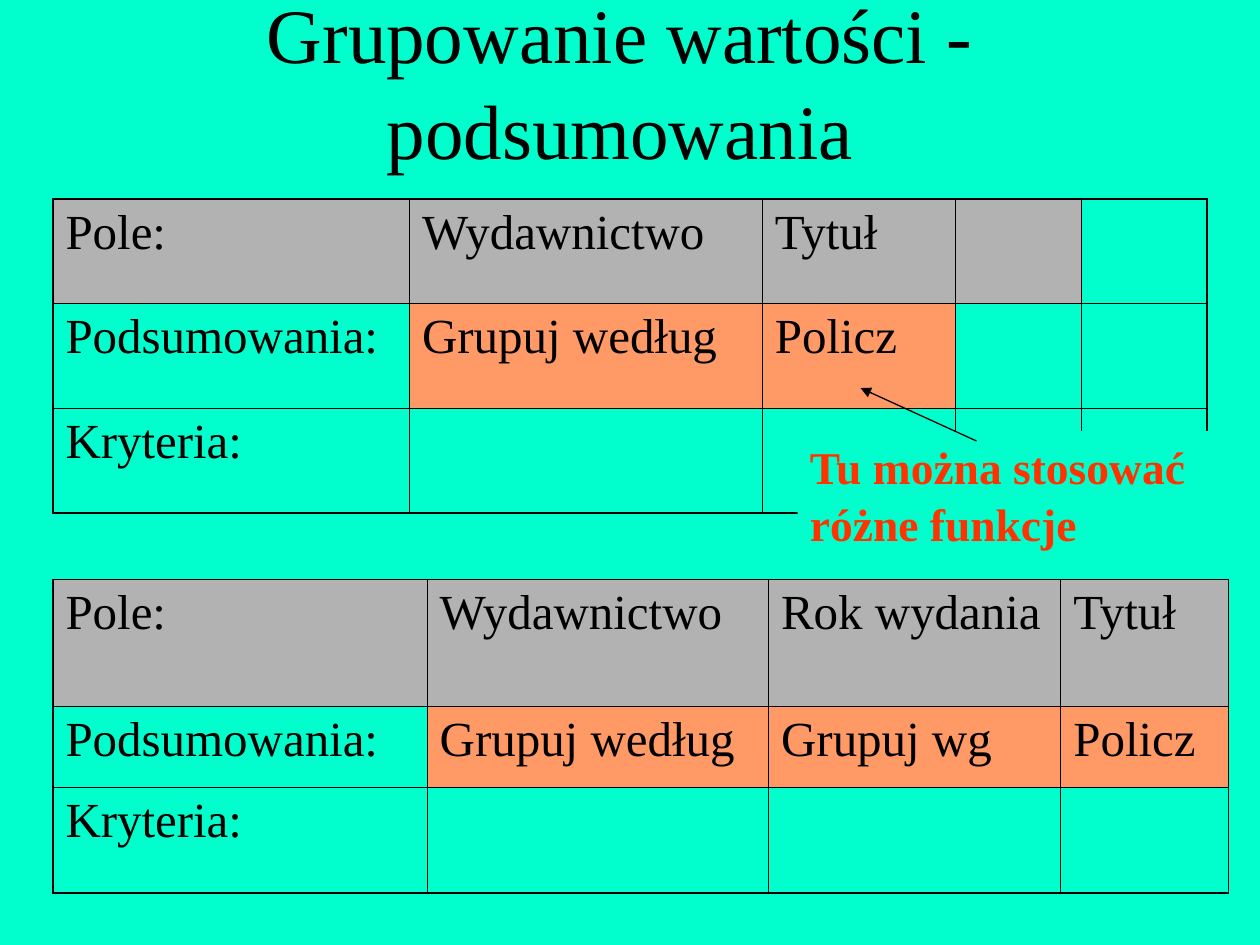
from dataclasses import dataclass

from pptx import Presentation, util as u
from pptx.dml.color import RGBColor
from pptx.enum import shapes, text
from pptx.oxml.ns import qn
from lxml import etree


@dataclass(frozen=True)
class Theme:
    font: str = "Times New Roman"
    paper: str = "00FFCC"
    ink: str = "000000"
    header: str = "B2B2B2"
    total: str = "FF9966"
    accent: str = "FF3300"
    title_size: float = 44
    cell_size: float = 28
    note_size: float = 26
    inner: float = 0.45
    outer: float = 1.08
    arrow: float = 0.75
    leading: float = 1.04


class SlideBuilder:
    """Draws the elements of one slide in a shared style."""

    def __init__(self, prs, theme):
        self.t = theme
        self.s = prs.slides.add_slide(prs.slide_layouts[6])
        self.paint(self.s.background.fill, theme.paper)

    def paint(self, fill, color):
        fill.solid()
        fill.fore_color.rgb = RGBColor.from_string(color)

    def label(self, tf, words, size, color, bold=False):
        tf.text = words
        tf.word_wrap = True
        p = tf.paragraphs[0]
        for r in p.runs:
            r.font.name = self.t.font
            r.font.size = u.Pt(size)
            r.font.bold = bold
            r.font.color.rgb = RGBColor.from_string(color)
        return p

    def title(self, words, box):
        tf = self.s.shapes.add_textbox(*map(u.Inches, box)).text_frame
        tf.vertical_anchor = text.MSO_ANCHOR.MIDDLE
        p = self.label(tf, words, self.t.title_size, self.t.ink)
        p.alignment = text.PP_ALIGN.CENTER
        p.line_spacing = self.t.leading

    def border(self, cell, side, width):
        tc_pr = cell._tc.get_or_add_tcPr()
        ln = etree.SubElement(tc_pr, qn(f"a:ln{side}"), w=str(u.Pt(width)))
        fill = etree.SubElement(ln, qn("a:solidFill"))
        etree.SubElement(fill, qn("a:srgbClr"), val=self.t.ink)

    def table(self, left, top, widths, heights, rows, header_cells):
        box = map(u.Inches, (left, top, sum(widths), sum(heights)))
        tbl = self.s.shapes.add_table(len(heights), len(widths), *box).table
        tbl.first_row = tbl.horz_banding = False
        for column, width in zip(tbl.columns, widths):
            column.width = u.Inches(width)
        for row, height in zip(tbl.rows, heights):
            row.height = u.Inches(height)
        last_row, last_col = len(heights) - 1, len(widths) - 1
        for i, words in enumerate(rows):
            for j in range(len(widths)):
                cell = tbl.cell(i, j)
                word = words[j] if j < len(words) else ""
                self.label(cell.text_frame, word, self.t.cell_size, self.t.ink)
                edges = {"L": j == 0, "R": j == last_col, "T": i == 0, "B": i == last_row}
                for side, is_outer in edges.items():
                    self.border(cell, side, self.t.outer if is_outer else self.t.inner)
                if i == 0 and j < header_cells:
                    self.paint(cell.fill, self.t.header)
                elif i == 1 and j > 0 and word:
                    self.paint(cell.fill, self.t.total)
                else:
                    cell.fill.background()

    def callout(self, words, box, start, end):
        group = self.s.shapes.add_group_shape().shapes
        sp = group.add_shape(shapes.MSO_SHAPE.RECTANGLE, *map(u.Inches, box))
        sp.shadow.inherit = False
        sp.line.fill.background()
        self.paint(sp.fill, self.t.paper)
        tf = sp.text_frame
        tf.vertical_anchor = text.MSO_ANCHOR.TOP
        p = self.label(tf, words, self.t.note_size, self.t.accent, bold=True)
        p.alignment = text.PP_ALIGN.LEFT
        p.line_spacing = self.t.leading
        self.arrow(group, start, end)

    def arrow(self, group, start, end):
        points = map(u.Inches, (*start, *end))
        cx = group.add_connector(shapes.MSO_CONNECTOR.STRAIGHT, *points)
        cx.line.width = u.Pt(self.t.arrow)
        cx.line.color.rgb = RGBColor.from_string(self.t.ink)
        sp_pr = cx._element.spPr
        etree.SubElement(sp_pr.find(qn("a:ln")), qn("a:tailEnd"), type="triangle")
        etree.SubElement(sp_pr, qn("a:effectLst"))


def main():
    prs = Presentation()
    prs.slide_width, prs.slide_height = u.Inches(10), u.Inches(7.5)
    b = SlideBuilder(prs, Theme())
    b.title("Grupowanie wartości - podsumowania", (0.67, 0, 8.5, 1.25))
    b.table(
        0.42, 1.58, (2.83, 2.8, 1.53, 1, 1), (0.83,) * 3,
        (("Pole:", "Wydawnictwo", "Tytuł"),
         ("Podsumowania:", "Grupuj według", "Policz"),
         ("Kryteria:",)),
        header_cells=4,
    )
    b.callout("Tu można stosować\vróżne funkcje", (6.33, 3.42, 3.42, 0.97),
              (7.75, 3.5), (6.83, 3.08))
    b.table(
        0.42, 4.6, (2.97, 2.71, 2.32, 1.33), (1.01, 0.64, 0.84),
        (("Pole:", "Wydawnictwo", "Rok wydania", "Tytuł"),
         ("Podsumowania:", "Grupuj według", "Grupuj wg", "Policz"),
         ("Kryteria:",)),
        header_cells=4,
    )
    prs.save("out.pptx")


if __name__ == "__main__":
    main()
